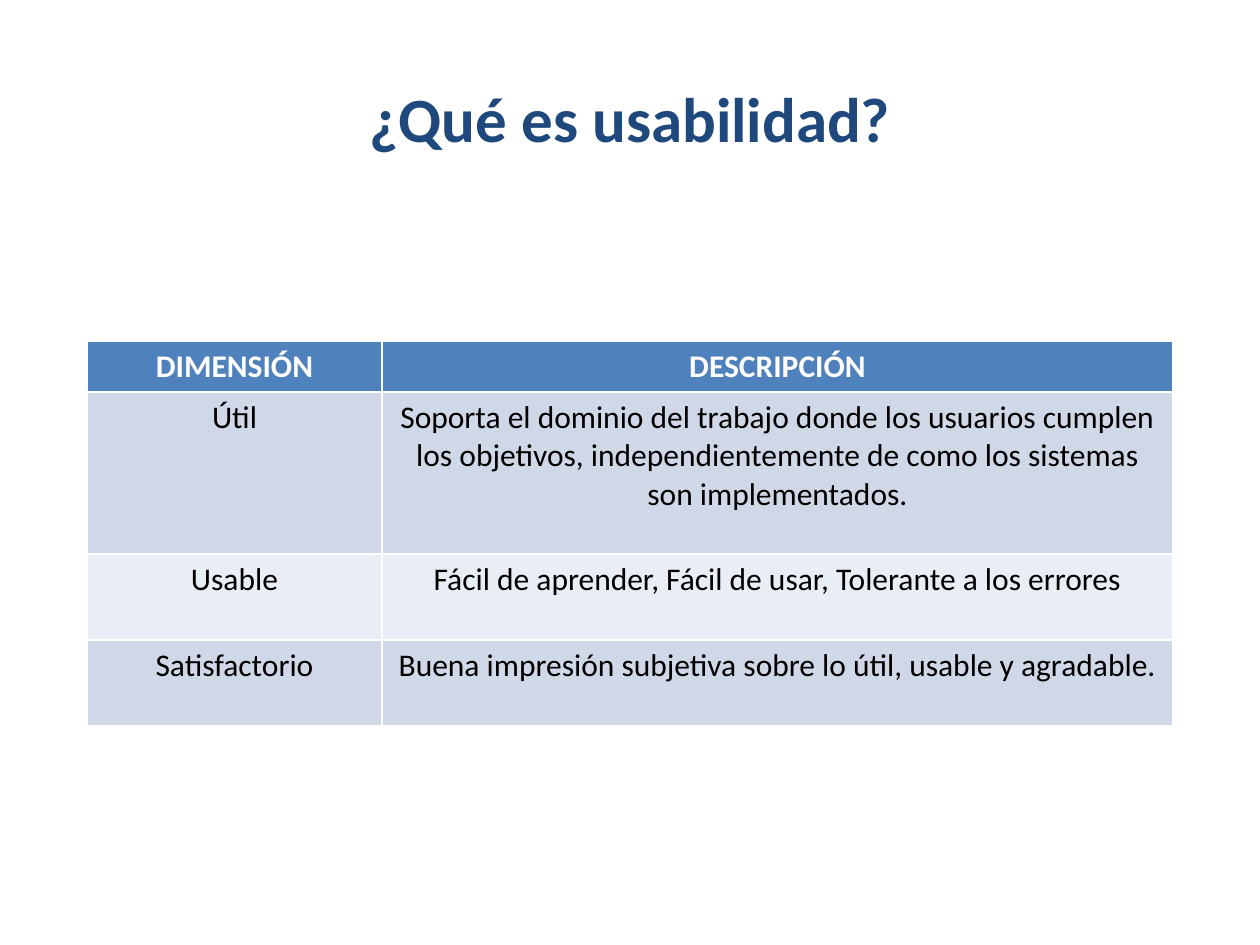
from pptx import Presentation, util as u
from pptx.dml.color import RGBColor
from pptx.enum import text

PX = 914400 / 126
FONT = "Calibri"
COLORS = {
    "title": "1F497D",
    "header": "4F81BD",
    "header_text": "FFFFFF",
    "odd_row": "D0D8E8",
    "even_row": "E9EDF4",
    "body_text": "000000",
}
DIMENSIONS = [
    ("DIMENSIÓN", "DESCRIPCIÓN"),
    ("Útil", "Soporta el dominio del trabajo donde los usuarios cumplen los objetivos, "
             "independientemente de como los sistemas son implementados."),
    ("Usable", "Fácil de aprender, Fácil de usar, Tolerante a los errores"),
    ("Satisfactorio", "Buena impresión subjetiva sobre lo útil, usable y agradable."),
]
COLUMN_WIDTHS = [295, 791]
ROW_HEIGHTS = [51, 162, 86, 86]


def px(length):
    """Turn pixels into EMU."""
    return u.Emu(round(length * PX))


def color(name):
    """Look up a palette colour."""
    return RGBColor.from_string(COLORS[name])


def write(frame, wording, size, ink, bold):
    """Fill a text frame with one centred, formatted paragraph."""
    frame.text = wording
    paragraph = frame.paragraphs[0]
    paragraph.alignment = text.PP_ALIGN.CENTER
    font = paragraph.runs[0].font
    font.name, font.size, font.bold = FONT, u.Pt(size), bold
    font.color.rgb = color(ink)


def place_title(slide, left, top, width, height):
    """Place the slide heading in its box."""
    heading = slide.shapes.title
    heading.left, heading.top = px(left), px(top)
    heading.width, heading.height = px(width), px(height)
    heading.text_frame.vertical_anchor = text.MSO_ANCHOR.MIDDLE
    write(heading.text_frame, "¿Qué es usabilidad?", 36, "title", True)


def place_dimensions(slide, left, top):
    """Place the table of usability dimensions at a corner."""
    dimensions = slide.shapes.add_table(
        len(DIMENSIONS), len(COLUMN_WIDTHS), px(left), px(top),
        px(sum(COLUMN_WIDTHS)), px(sum(ROW_HEIGHTS))).table
    for column, width in zip(dimensions.columns, COLUMN_WIDTHS):
        column.width = px(width)
    for index, (row, height, entries) in enumerate(
            zip(dimensions.rows, ROW_HEIGHTS, DIMENSIONS)):
        row.height = px(height)
        is_header = index == 0
        fill = "header" if is_header else "odd_row" if index % 2 else "even_row"
        ink = "header_text" if is_header else "body_text"
        for cell, wording in zip(row.cells, entries):
            cell.fill.solid()
            cell.fill.fore_color.rgb = color(fill)
            write(cell.text_frame, wording, 18, ink, is_header)


def main():
    """Build and save the usability slide."""
    presentation = Presentation()
    presentation.slide_width, presentation.slide_height = px(1260), px(945)
    slide = presentation.slides.add_slide(presentation.slide_layouts[5])
    place_title(slide, 63, 38, 1134, 158)
    place_dimensions(slide, 87, 341)
    presentation.save("out.pptx")


if __name__ == "__main__":
    main()
